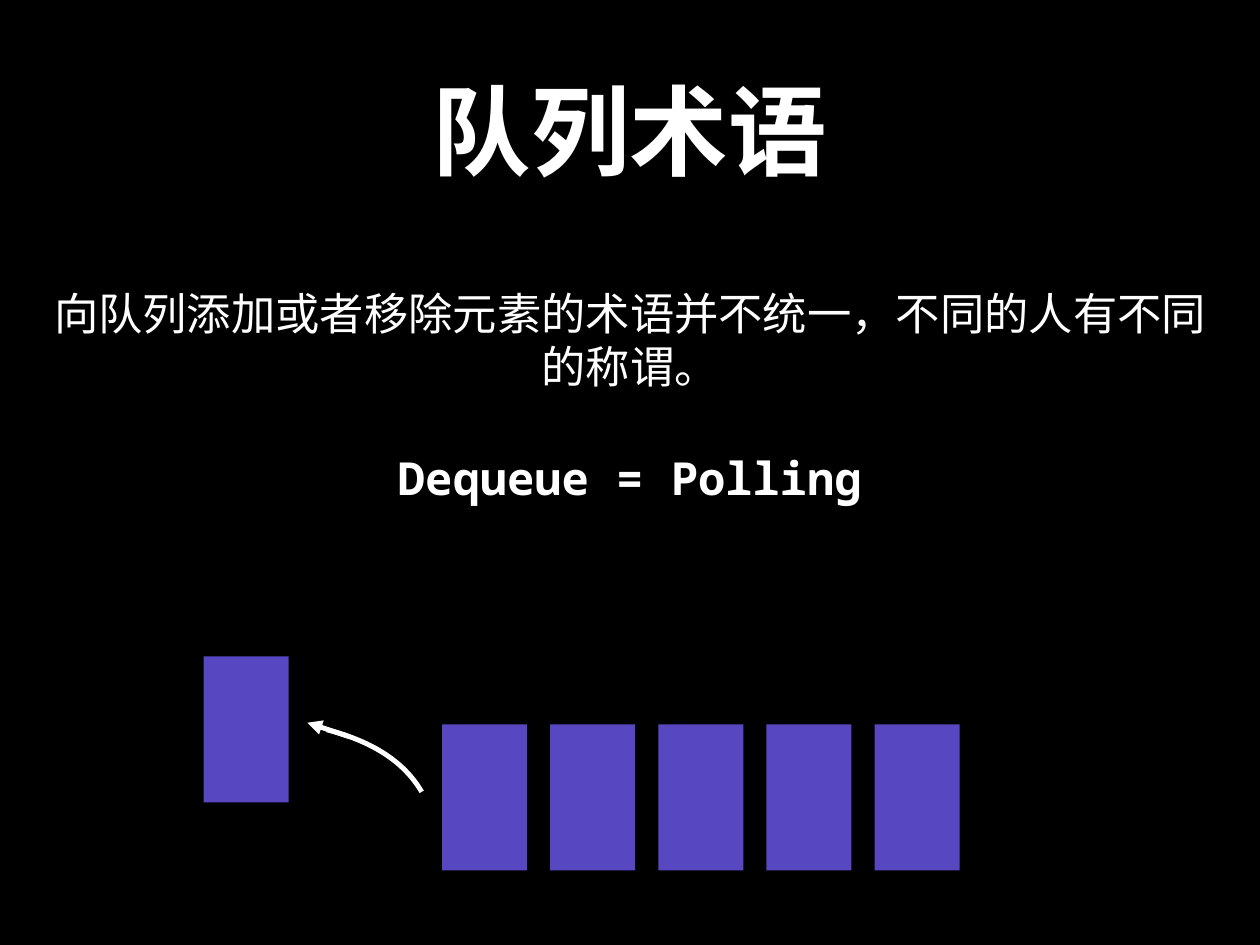
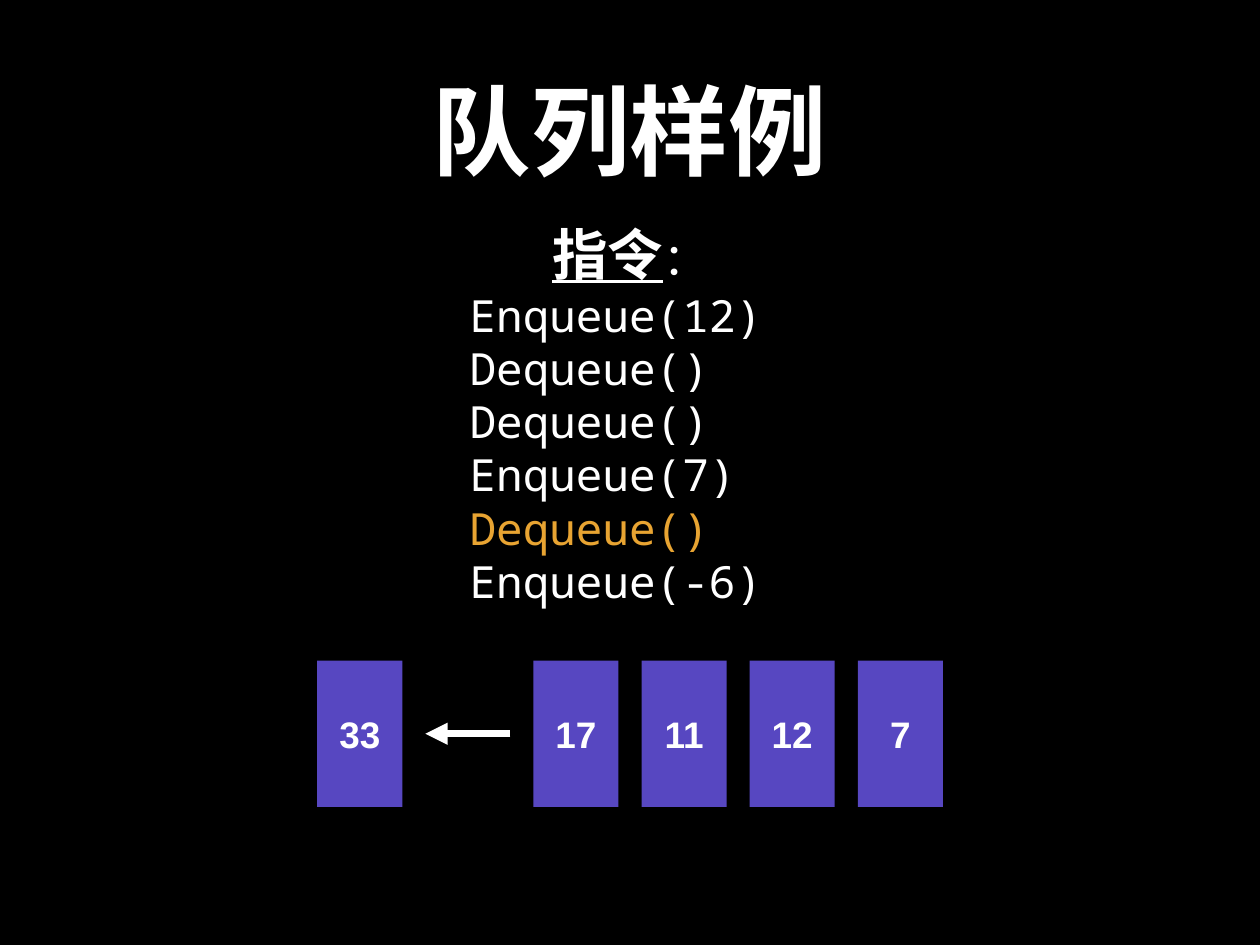
"""Build two slides on queue terms and a queue example."""
from dataclasses import dataclass
from typing import Optional

from lxml.etree import SubElement
from pptx import Presentation
from pptx.dml.color import RGBColor
from pptx.enum.shapes import MSO_CONNECTOR as Connector, MSO_SHAPE as Preset
from pptx.enum.text import MSO_ANCHOR as Anchor, PP_ALIGN as Align
from pptx.oxml.ns import qn
from pptx.util import Inches, Pt

COLORS = {"back": "000000", "text": "FFFFFF", "cell": "5747C1", "current": "E8A432"}
MONO, SANS = "Noto Sans Mono", "Arial"
WIDTH, HEIGHT = Inches(14.22), Inches(10.67)
INSET = Inches(0.06)
CELL_WIDTH, CELL_HEIGHT, PITCH = 6.75, 15.46, 8.58
CURVE_STEPS = 24


@dataclass(frozen=True)
class Frame:
    """A rectangle in percent of the slide's width and height."""
    left: float
    top: float
    width: float
    height: float

    def emu(self) -> tuple:
        return (*point(self.left, self.top), *point(self.width, self.height))


@dataclass(frozen=True)
class Span:
    """A piece of text in one style."""
    text: str
    size: float = 36
    bold: bool = False
    underline: bool = False
    color: str = "text"
    font: str = MONO


@dataclass(frozen=True)
class Cell:
    """A queue element in a column of its row."""
    column: int
    label: Optional[str] = None


TITLE = Frame(7.31, 2.62, 85.37, 22.12)


def point(across: float, down: float) -> tuple:
    return round(WIDTH * across / 100), round(HEIGHT * down / 100)


def rgb(name: str) -> RGBColor:
    return RGBColor.from_string(COLORS[name])


def write(shape, lines: list, align=Align.CENTER, wrap: bool = True) -> None:
    frame = shape.text_frame
    frame.word_wrap = wrap
    frame.vertical_anchor = Anchor.MIDDLE
    frame.margin_left = frame.margin_right = INSET
    frame.margin_top = frame.margin_bottom = INSET
    for index, spans in enumerate(lines):
        para = frame.add_paragraph() if index else frame.paragraphs[0]
        para.alignment = align
        for span in spans:
            run = para.add_run()
            run.text = span.text
            font = run.font
            font.size, font.name = Pt(span.size), span.font
            font.bold, font.underline = span.bold, span.underline
            font.color.rgb = rgb(span.color)
            SubElement(run._r.rPr, qn("a:ea")).set("typeface", span.font)


def add_page(deck, title: str):
    page = deck.slides.add_slide(deck.slide_layouts[5])
    box = page.shapes.title
    box.left, box.top, box.width, box.height = TITLE.emu()
    write(box, [[Span(title, size=80, bold=True)]])
    return page


def add_text(page, frame: Frame, lines: list, align=Align.CENTER, wrap: bool = True) -> None:
    write(page.shapes.add_textbox(*frame.emu()), lines, align, wrap)


def add_cells(page, left: float, top: float, cells: list) -> None:
    for cell in cells:
        frame = Frame(left + cell.column * PITCH, top, CELL_WIDTH, CELL_HEIGHT)
        box = page.shapes.add_shape(Preset.RECTANGLE, *frame.emu())
        box.shadow.inherit = False
        box.fill.solid()
        box.fill.fore_color.rgb = rgb("cell")
        box.line.fill.background()
        if cell.label:
            write(box, [[Span(cell.label, size=30, bold=True, font=SANS)]])


def style_line(line, weight: float) -> None:
    line.color.rgb = rgb("text")
    line.width = Pt(weight)


def add_arrow(page, start: tuple, end: tuple, weight: float) -> None:
    arrow = page.shapes.add_connector(Connector.STRAIGHT, *point(*start), *point(*end))
    style_line(arrow.line, weight)
    SubElement(arrow.line._get_or_add_ln(), qn("a:tailEnd")).set("type", "triangle")
    SubElement(arrow._element.spPr, qn("a:effectLst"))


def add_curve(page, controls: list, weight: float) -> None:
    dots = []
    for step in range(CURVE_STEPS + 1):
        t = step / CURVE_STEPS
        shares = ((1 - t) ** 3, 3 * t * (1 - t) ** 2, 3 * t ** 2 * (1 - t), t ** 3)
        dots.append(point(*(sum(share * control[axis] for share, control in zip(shares, controls))
                            for axis in (0, 1))))
    builder = page.shapes.build_freeform(*dots[0])
    builder.add_line_segments(dots[1:], close=False)
    curve = builder.convert_to_shape()
    curve.shadow.inherit = False
    curve.fill.background()
    style_line(curve.line, weight)


def add_terms(deck) -> None:
    page = add_page(deck, "队列术语")
    add_text(page, Frame(7.31, 44.7, 85.37, 11.62), [[Span("Dequeue = Polling", size=37, bold=True)]])
    add_text(page, Frame(2.53, 29.71, 94.94, 12.37),
             [[Span("向队列添加或者移除元素的术语并不统一，不同的人有不同的称谓。")]])
    add_curve(page, [(25.95, 77.23), (29.54, 78.44), (32.07, 80.6), (33.47, 83.79)], 4)
    add_arrow(page, (27.78, 77.98), (24.4, 76.48), 4)
    add_cells(page, 35.09, 76.66, [Cell(column) for column in range(5)])
    add_cells(page, 16.17, 69.45, [Cell(0)])


def add_example(deck) -> None:
    page = add_page(deck, "队列样例")
    add_text(page, Frame(2.53, 22.68, 94.94, 8.15),
             [[Span("指令", size=45, bold=True, underline=True), Span("：")]])
    calls = ["Enqueue(12)", "Dequeue()", "Dequeue()", "Enqueue(7)", "Dequeue()", "Enqueue(-6)"]
    current = 4
    add_text(page, Frame(36.85, 30.83, 26.3, 33.08),
             [[Span(call, color="current" if index == current else "text")]
              for index, call in enumerate(calls)], Align.LEFT, wrap=False)
    left, top = 25.18, 69.92
    queue = [Cell(column, label) for column, label in enumerate(["17", "11", "12", "7"], 2)]
    add_cells(page, left, top, [Cell(0, "33"), *queue])
    tip, middle = left + PITCH, top + CELL_HEIGHT / 2
    add_arrow(page, (tip + CELL_WIDTH, middle), (tip, middle), 6)


def main() -> None:
    deck = Presentation()
    deck.slide_width, deck.slide_height = WIDTH, HEIGHT
    back = deck.slide_master.background.fill
    back.solid()
    back.fore_color.rgb = rgb("back")
    add_terms(deck)
    add_example(deck)
    deck.save("out.pptx")


if __name__ == "__main__":
    main()
